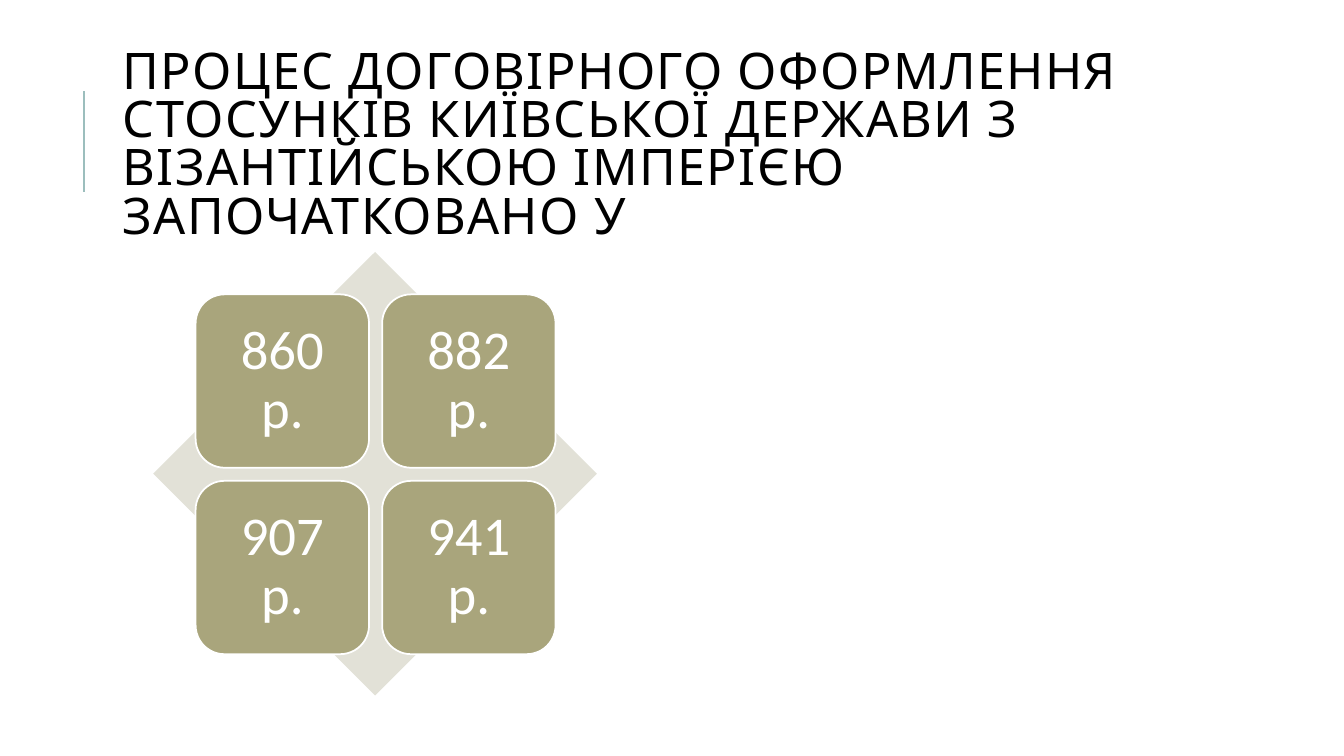
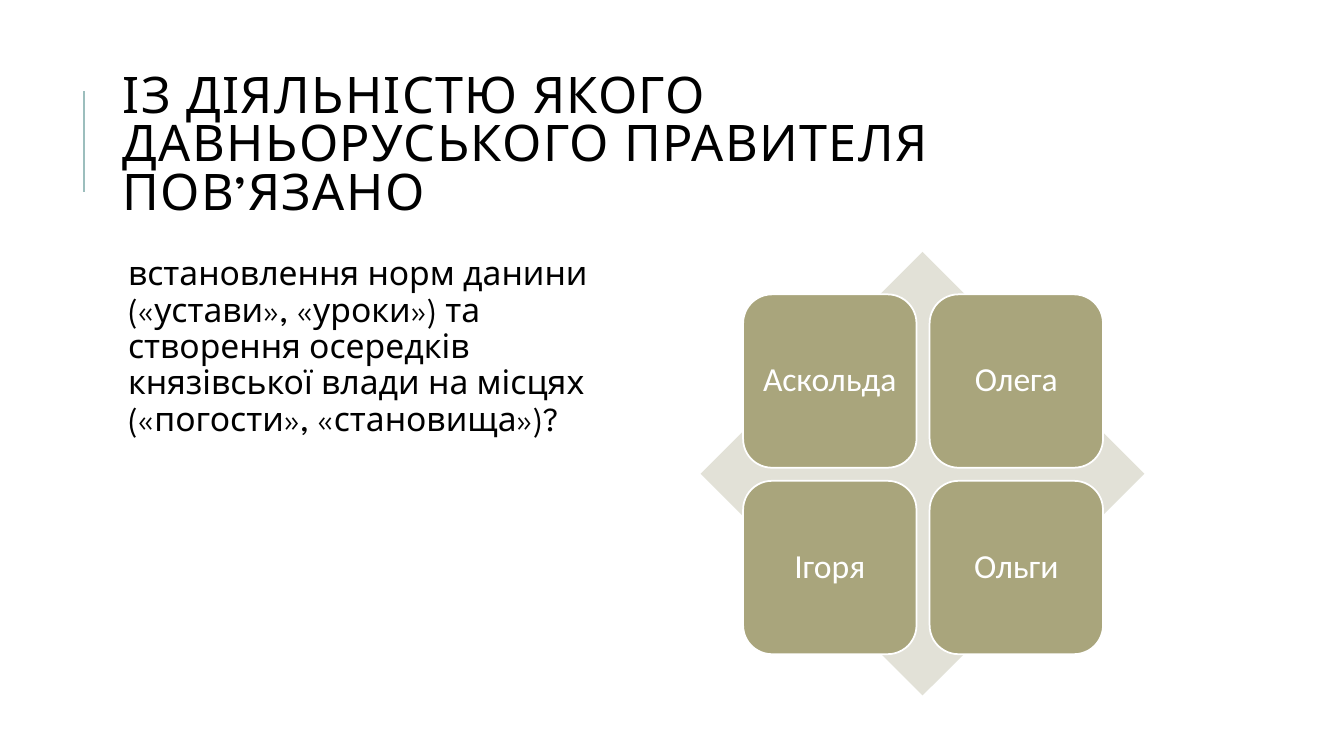
"""Build two quiz slides with a title, an optional question and a matrix of answers."""
from lxml.etree import SubElement
from pptx import Presentation
from pptx.dml.color import RGBColor
from pptx.enum.shapes import MSO_CONNECTOR, MSO_SHAPE
from pptx.enum.text import MSO_ANCHOR, PP_ALIGN
from pptx.oxml.ns import qn
from pptx.util import Inches, Pt

BLACK = RGBColor(0x00, 0x00, 0x00)
WHITE = RGBColor(0xFF, 0xFF, 0xFF)
TEAL = RGBColor(0x9C, 0xBE, 0xBD)
OLIVE = RGBColor(0xA9, 0xA5, 0x7C)
PALE_OLIVE = RGBColor(0xE2, 0xE1, 0xD7)
HEADING_FONT = "League Spartan"
ANSWER_FONT = "Calibri"

CONTENT_TOP = 2.5
DIAMOND_SIZE = 4.4
TILE_SIZE = 1.72
TILE_PITCH = 1.85
TILE_OFFSET = 0.42


def write_text(shape, text, font_name, size, color, line_spacing):
    text_frame = shape.text_frame
    text_frame.word_wrap = True
    text_frame.text = text
    paragraph = text_frame.paragraphs[0]
    paragraph.line_spacing = line_spacing
    font = paragraph.runs[0].font
    font.name = font_name
    font.size = Pt(size)
    font.color.rgb = color
    return paragraph


def set_margins(text_frame, margin):
    text_frame.margin_left = text_frame.margin_right = Inches(margin)
    text_frame.margin_top = text_frame.margin_bottom = Inches(margin)


def add_title(slide, text):
    line = slide.shapes.add_connector(
        MSO_CONNECTOR.STRAIGHT, Inches(0.83), Inches(1.9), Inches(0.83), Inches(0.9))
    line.line.color.rgb = TEAL
    line.line.width = Pt(1.5)
    SubElement(line._element.spPr, qn("a:effectLst"))
    title = slide.shapes.add_textbox(
        Inches(1.12), Inches(0.64), Inches(10.63), Inches(1.64))
    title.text_frame.vertical_anchor = MSO_ANCHOR.MIDDLE
    paragraph = write_text(title, text, HEADING_FONT, 36, BLACK, 0.8)
    paragraph.runs[0]._r.get_or_add_rPr().set("spc", "100")


def add_question(slide, text):
    question = slide.shapes.add_textbox(
        Inches(1.12), Inches(CONTENT_TOP), Inches(5.2), Inches(4.4))
    set_margins(question.text_frame, 0.05)
    question.text_frame.margin_left = Inches(0.15)
    write_text(question, text, HEADING_FONT, 24, BLACK, 0.9)


def add_filled_shape(shapes, kind, left, top, size, fill_color):
    shape = shapes.add_shape(
        kind, Inches(left), Inches(top), Inches(size), Inches(size))
    shape.shadow.inherit = False
    shape.fill.solid()
    shape.fill.fore_color.rgb = fill_color
    shape.line.fill.background()
    return shape


def add_answer_matrix(slide, left, answers, size, margin):
    shapes = slide.shapes.add_group_shape().shapes
    add_filled_shape(
        shapes, MSO_SHAPE.DIAMOND, left, CONTENT_TOP, DIAMOND_SIZE, PALE_OLIVE)
    for index, answer in enumerate(answers):
        row, column = divmod(index, 2)
        tile = add_filled_shape(
            shapes, MSO_SHAPE.ROUNDED_RECTANGLE,
            left + TILE_OFFSET + column * TILE_PITCH,
            CONTENT_TOP + TILE_OFFSET + row * TILE_PITCH,
            TILE_SIZE, OLIVE)
        tile.line.color.rgb = WHITE
        tile.line.width = Pt(1.25)
        tile.text_frame.vertical_anchor = MSO_ANCHOR.MIDDLE
        set_margins(tile.text_frame, margin)
        paragraph = write_text(tile, answer, ANSWER_FONT, size, WHITE, 0.9)
        paragraph.alignment = PP_ALIGN.CENTER


def main():
    presentation = Presentation()
    presentation.slide_width = Inches(13.33)
    presentation.slide_height = Inches(7.5)
    blank_layout = presentation.slide_layouts[6]

    slide = presentation.slides.add_slide(blank_layout)
    add_title(slide, "ПРОЦЕС ДОГОВІРНОГО ОФОРМЛЕННЯ СТОСУНКІВ КИЇВСЬКОЇ ДЕРЖАВИ "
                     "З ВІЗАНТІЙСЬКОЮ ІМПЕРІЄЮ ЗАПОЧАТКОВАНО У")
    add_answer_matrix(slide, 1.52, ["860 р.", "882 р.", "907 р.", "941 р."], 39, 0.16)

    slide = presentation.slides.add_slide(blank_layout)
    add_title(slide, "ІЗ ДІЯЛЬНІСТЮ ЯКОГО ДАВНЬОРУСЬКОГО ПРАВИТЕЛЯ ПОВ’ЯЗАНО")
    add_question(slide, "встановлення норм данини («устави», «уроки») та створення "
                        "осередків князівської влади на місцях («погости», «становища»)?")
    add_answer_matrix(slide, 6.95, ["Аскольда", "Олега", "Ігоря", "Ольги"], 24, 0.1)

    presentation.save("out.pptx")


if __name__ == "__main__":
    main()
